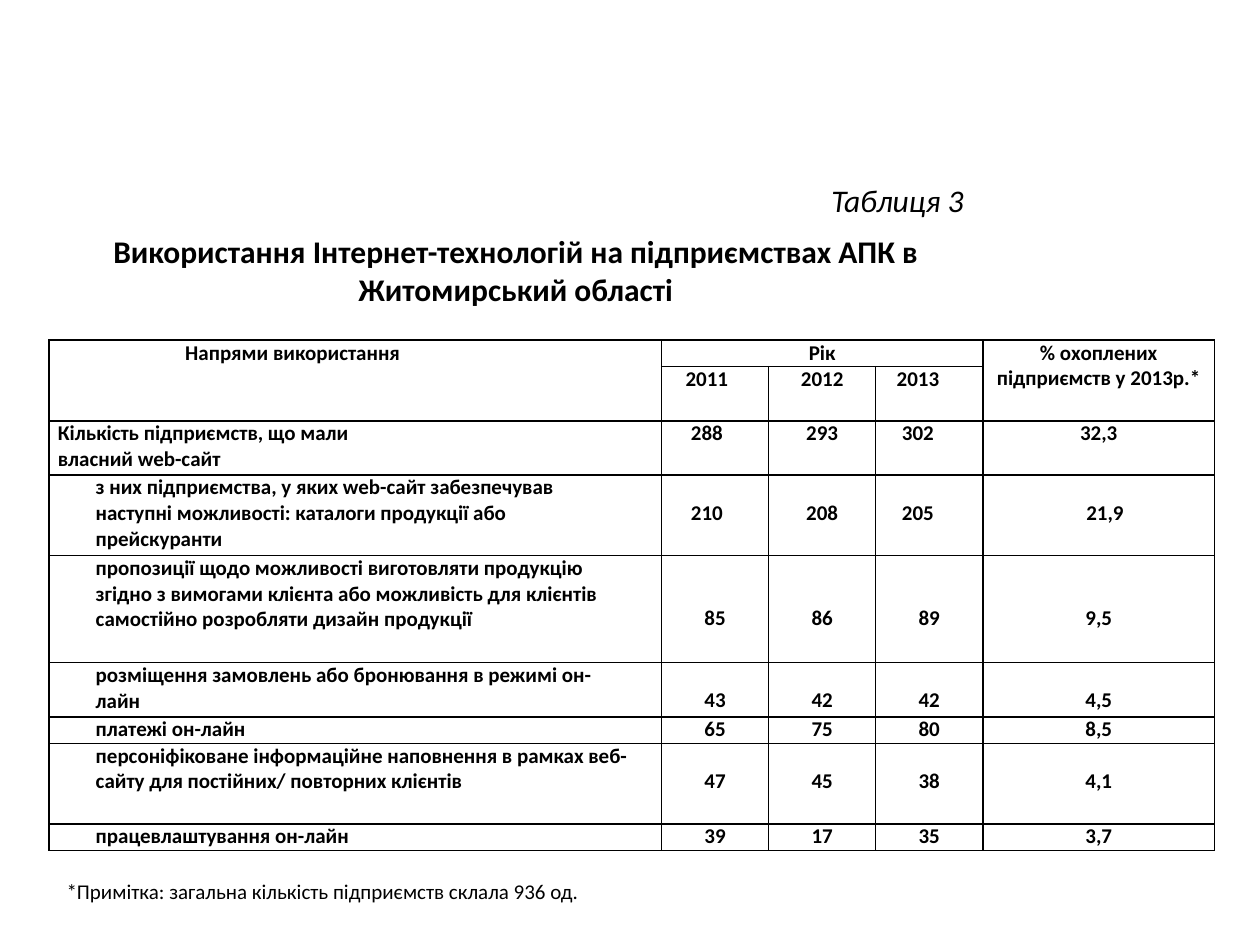
from dataclasses import dataclass

from lxml import etree
from pptx import Presentation
from pptx.dml.color import RGBColor
from pptx.enum.text import MSO_AUTO_SIZE, PP_ALIGN
from pptx.oxml.ns import qn
from pptx.util import Inches, Pt

LEFT, CENTER = PP_ALIGN.LEFT, PP_ALIGN.CENTER
FIT_SHAPE = MSO_AUTO_SIZE.SHAPE_TO_FIT_TEXT


@dataclass(frozen=True)
class Theme:
    font: str = "Calibri"
    ink: str = "000000"
    paper: str = "FFFFFF"
    title_size: int = 18
    body_size: int = 12
    border: int = 1
    line_step: float = 0.2


THEME = Theme()

COLUMN_WIDTHS = [4.86, 0.85, 0.85, 0.85, 1.84]
ROW_HEIGHTS = [0.21, 0.43, 0.43, 0.64, 0.85, 0.43, 0.21, 0.64, 0.21]
YEARS = ["2011", "2012", "2013"]
FIRST_DATA_ROW = 2
INDENT = 0.37
# Right insets that move the values of the upper rows off the column centre
UPPER_INSETS = [0.13, 0, 0.18, 0]

# Label, label insets (left, right), lines above the values, values
DATA = [
    ("Кількість підприємств, що мали\nвласний web-сайт", (0.07, 0.35), 0,
     ["288", "293", "302", "32,3"]),
    ("з них підприємства, у яких web-сайт забезпечував наступні можливості: "
     "каталоги продукції або прейскуранти", (INDENT, 0.35), 1,
     ["210", "208", "205", "21,9"]),
    ("пропозиції щодо можливості виготовляти продукцію згідно з вимогами "
     "клієнта або можливість для клієнтів самостійно розробляти дизайн "
     "продукції", (INDENT, 0.35), 2, ["85", "86", "89", "9,5"]),
    ("розміщення замовлень або бронювання в режимі он-лайн", (INDENT, 0.35), 1,
     ["43", "42", "42", "4,5"]),
    ("платежі он-лайн", (INDENT, 0.35), 0, ["65", "75", "80", "8,5"]),
    ("персоніфіковане інформаційне наповнення в рамках веб-сайту для "
     "постійних/ повторних клієнтів", (INDENT, 0.2), 1,
     ["47", "45", "38", "4,1"]),
    ("працевлаштування он-лайн", (INDENT, 0.35), 0, ["39", "17", "35", "3,7"]),
]


def write(frame, text, size, align=LEFT, bold=False, italic=False):
    """Write one paragraph for each line of the text."""
    for index, line in enumerate(text.split("\n")):
        para = frame.add_paragraph() if index else frame.paragraphs[0]
        para.alignment = align
        span = para.add_run()
        span.text = line
        span.font.name = THEME.font
        span.font.size = Pt(size)
        span.font.bold = bold
        span.font.italic = italic
        span.font.color.rgb = RGBColor.from_string(THEME.ink)


def add_text(page, place, text, size, wrap=True, **style):
    box = page.shapes.add_textbox(*map(Inches, place))
    box.text_frame.word_wrap = wrap
    box.text_frame.auto_size = FIT_SHAPE
    write(box.text_frame, text, size, **style)


def style_cell(cell):
    """Give a cell plain borders, no insets and a paper fill."""
    properties = cell._tc.get_or_add_tcPr()
    for side in ("a:lnL", "a:lnR", "a:lnT", "a:lnB"):
        line = etree.SubElement(properties, qn(side), w=str(Pt(THEME.border)))
        fill = etree.SubElement(line, qn("a:solidFill"))
        etree.SubElement(fill, qn("a:srgbClr"), val=THEME.ink)
    cell.fill.solid()
    cell.fill.fore_color.rgb = RGBColor.from_string(THEME.paper)
    cell.margin_left = cell.margin_right = 0
    cell.margin_top = cell.margin_bottom = 0


def fill_cell(cell, text, align=CENTER, left=0, right=0, lines_above=0):
    cell.margin_left = Inches(left)
    cell.margin_right = Inches(right)
    cell.margin_top = Inches(lines_above * THEME.line_step)
    write(cell.text_frame, text, THEME.body_size, align, bold=True)


def add_grid(page, left, top):
    frame = page.shapes.add_table(
        len(ROW_HEIGHTS), len(COLUMN_WIDTHS), Inches(left), Inches(top),
        Inches(sum(COLUMN_WIDTHS)), Inches(sum(ROW_HEIGHTS)))
    table = frame.table
    table.first_row = table.horz_banding = False
    for column, width in zip(table.columns, COLUMN_WIDTHS):
        column.width = Inches(width)
    for row, height in zip(table.rows, ROW_HEIGHTS):
        row.height = Inches(height)
    for cell in table.iter_cells():
        style_cell(cell)
    return table


def fill_header(table):
    table.cell(0, 0).merge(table.cell(1, 0))
    table.cell(0, 1).merge(table.cell(0, 3))
    table.cell(0, 4).merge(table.cell(1, 4))
    fill_cell(table.cell(0, 0), "Напрями використання", LEFT, left=1.08)
    fill_cell(table.cell(0, 1), "Рік")
    fill_cell(table.cell(0, 4), "% охоплених підприємств у 2013р.*",
              left=0.1, right=0.1)
    for column, year in enumerate(YEARS, start=1):
        fill_cell(table.cell(1, column), year, right=UPPER_INSETS[column - 1])


def fill_data(table):
    for row, (label, insets, lines_above, values) in enumerate(
            DATA, start=FIRST_DATA_ROW):
        fill_cell(table.cell(row, 0), label, LEFT, *insets)
        is_upper = row < FIRST_DATA_ROW + 2
        for column, value in enumerate(values, start=1):
            right = UPPER_INSETS[column - 1] if is_upper else 0
            left = 0.1 if value == "21,9" else 0
            fill_cell(table.cell(row, column), value, left=left, right=right,
                      lines_above=lines_above)


def main():
    deck = Presentation()
    deck.slide_width, deck.slide_height = Inches(10), Inches(7.5)
    page = deck.slides.add_slide(deck.slide_layouts[6])
    add_text(page, (6.5, 1.39, 1.26, 0.4), "Таблиця 3", THEME.title_size,
             wrap=False, italic=True)
    add_text(page, (0.43, 1.79, 7.33, 0.71),
             "Використання Інтернет-технологій на підприємствах АПК в "
             "Житомирський області", THEME.title_size, align=CENTER, bold=True)
    table = add_grid(page, 0.39, 2.7)
    fill_header(table)
    fill_data(table)
    add_text(page, (0.43, 6.92, 4.76, 0.3),
             "*Примітка: загальна кількість підприємств склала 936 од.",
             THEME.body_size)
    deck.save("out.pptx")


if __name__ == "__main__":
    main()
